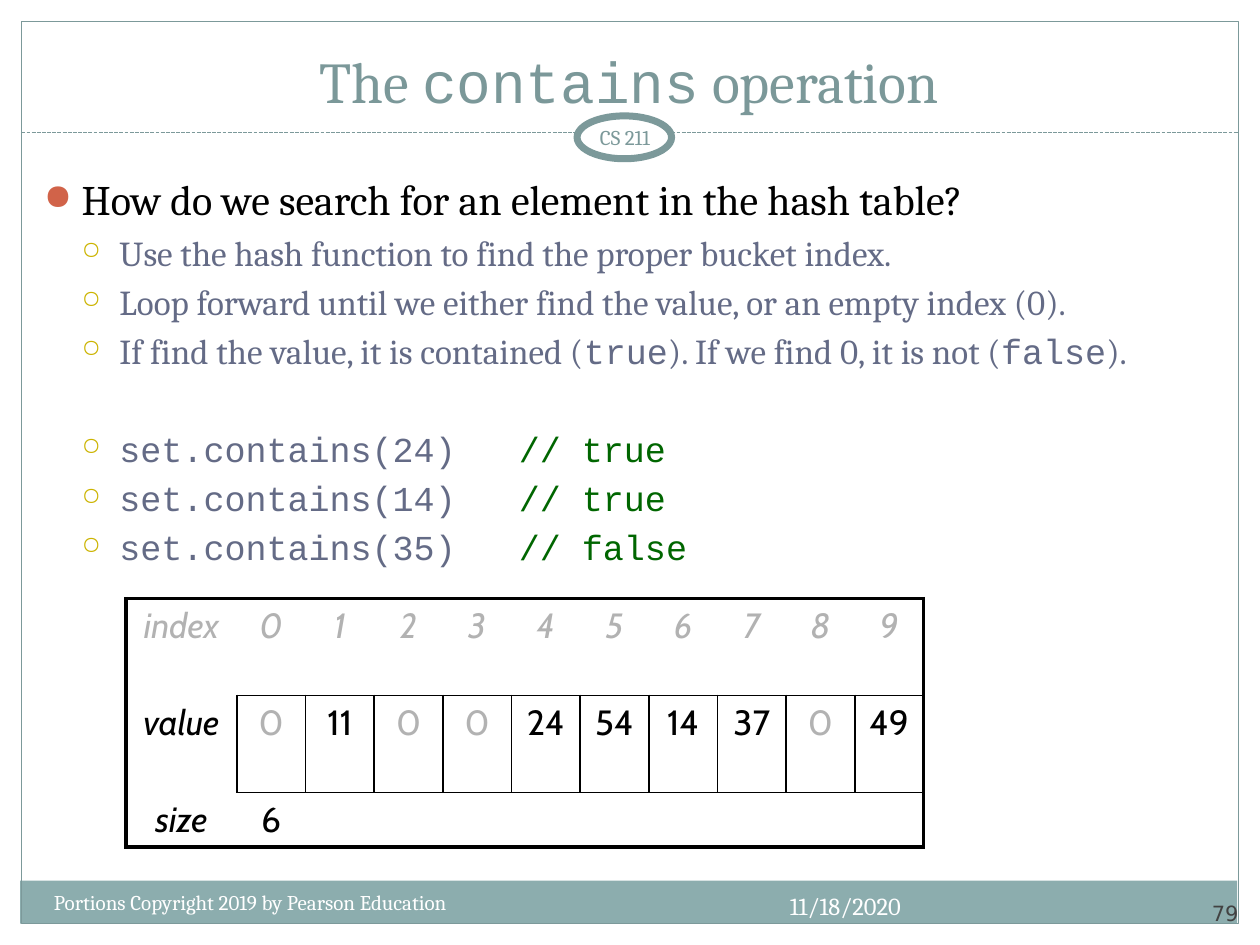
from lxml.etree import SubElement
from pptx import Presentation
from pptx.dml.color import RGBColor
from pptx.enum.dml import MSO_LINE
from pptx.enum.shapes import MSO_CONNECTOR, MSO_SHAPE
from pptx.enum.text import MSO_ANCHOR, PP_ALIGN
from pptx.oxml import parse_xml
from pptx.oxml.ns import nsdecls, qn
from pptx.util import Inches, Pt

COLORS = {name: RGBColor.from_string(value) for name, value in {
    "white": "FFFFFF", "black": "000000", "teal": "7C999A", "title": "7B9899",
    "band": "8CADAE", "slate": "646B86", "comment": "006600", "faded": "B2B2B2",
    "number": "424242"}.items()}
SERIF, MONO, SANS = "Cambria", "Courier New", "Cabin"


def style(font, size, name, color):
    font.size, font.name = Pt(size), name
    font.color.rgb = COLORS[color]


def add_text(box, text, size, name, color, align, anchor, inset=(0.1, 0.05)):
    left, top, width, height = map(Inches, box)
    frame = slide.shapes.add_textbox(left, top, width, height).text_frame
    frame.word_wrap = True
    frame.vertical_anchor = anchor
    frame.margin_left = frame.margin_right = Inches(inset[0])
    frame.margin_top = frame.margin_bottom = Inches(inset[1])
    paragraph = frame.paragraphs[0]
    paragraph.text, paragraph.alignment = text, align
    style(paragraph.font, size, name, color)
    return frame


presentation = Presentation()
presentation.slide_width, presentation.slide_height = Inches(10), Inches(7.5)
slide = presentation.slides.add_slide(presentation.slide_layouts[5])

# Footer band, frame, dashed rule and course badge
rule = slide.shapes.add_connector(
    MSO_CONNECTOR.STRAIGHT, Inches(0.17), Inches(1.05), Inches(9.83), Inches(1.05))
rule.line.color.rgb, rule.line.width = COLORS["teal"], Pt(0.75)
rule.line.dash_style = MSO_LINE.SQUARE_DOT
SubElement(rule._element.spPr, qn("a:effectLst"))
for kind, box, fill, line_width in [
        (MSO_SHAPE.RECTANGLE, (0.16, 6.99, 9.66, 0.34), "band", None),
        (MSO_SHAPE.RECTANGLE, (0.17, 0.17, 9.66, 7.16), None, 0.75),
        (MSO_SHAPE.OVAL, (4.58, 0.92, 0.75, 0.34), "white", 4)]:
    shape = slide.shapes.add_shape(kind, *map(Inches, box))
    shape.shadow.inherit = False
    if fill:
        shape.fill.solid()
        shape.fill.fore_color.rgb = COLORS[fill]
    else:
        shape.fill.background()
    if line_width:
        shape.line.color.rgb, shape.line.width = COLORS["teal"], Pt(line_width)
    else:
        shape.line.fill.background()

# Title
title = slide.shapes.title
title.left, title.top, title.width, title.height = map(Inches, (0.33, 0.25, 9.33, 0.71))
title.text_frame.vertical_anchor = MSO_ANCHOR.BOTTOM
paragraph = title.text_frame.paragraphs[0]
paragraph.alignment = PP_ALIGN.CENTER
for text, name in [("The ", SERIF), ("contains", MONO), (" operation", SERIF)]:
    run = paragraph.add_run()
    run.text = text
    style(run.font, 33, name, "title")

# Bulleted text: each line is a list of (text, font, colour) runs
sentences = [
    [("Use the hash function to find the proper bucket index.", SERIF, "slate")],
    [("Loop forward until we either find the value, or an empty index (0).", SERIF, "slate")],
    [("If find the value, it is contained (", SERIF, "slate"), ("true", MONO, "slate"),
     ("). If we find 0, it is not (", SERIF, "slate"), ("false", MONO, "slate"),
     (").", SERIF, "slate")]]
calls = [[(f"set.contains({value})\t", MONO, "slate"), (f"// {answer}", MONO, "comment")]
         for value, answer in [(24, "true"), (14, "true"), (35, "false")]]
body = add_text((0.25, 1.33, 9.5, 5.58), "How do we search for an element in the hash table?",
                24, SERIF, "black", PP_ALIGN.LEFT, MSO_ANCHOR.TOP)
lines = sentences + calls
for _ in lines:
    body.add_paragraph()
for index, paragraph in enumerate(body.paragraphs):
    level = min(index, 1)
    symbol, color, percent = [("●", "D16349", 85), ("○", "CCB400", 70)][level]
    properties = paragraph._p.get_or_add_pPr()
    properties.set("marL", str(Inches(0.3 * (level + 1))))
    properties.set("indent", str(Inches(-0.3)))
    if level:
        paragraph.level = level
        paragraph.line_spacing = Pt(28)
        paragraph.space_before = Pt(28 if index == len(sentences) + 1 else 0)
    bullet = [f'<a:buClr {nsdecls("a")}><a:srgbClr val="{color}"/></a:buClr>',
              f'<a:buSzPct {nsdecls("a")} val="{percent}000"/>',
              f'<a:buChar {nsdecls("a")} char="{symbol}"/>']
    if index > len(sentences):
        bullet.append(f'<a:tabLst {nsdecls("a")}><a:tab pos="{Inches(3.77)}" algn="l"/></a:tabLst>')
    default = properties.find(qn("a:defRPr"))
    for xml in bullet:
        element = parse_xml(xml)
        if default is None:
            properties.append(element)
        else:
            default.addprevious(element)
    if level:
        for text, name, color in lines[index - 1]:
            run = paragraph.add_run()
            run.text = text
            style(run.font, 20, name, color)

# Hash table
values = [0, 11, 0, 0, 24, 54, 14, 37, 0, 49]
rows = [["index", *range(10)], ["value", *values], ["size", 6] + [""] * 9]
table = slide.shapes.add_table(
    3, 11, Inches(1), Inches(4.75), Inches(6.33), Inches(1.97)).table
table.first_row = table.horz_banding = False
for column_index, column in enumerate(table.columns):
    column.width = Inches(0.545 if column_index else 0.88)
for row_index, height in enumerate((0.77, 0.77, 0.43)):
    table.rows[row_index].height = Inches(height)
    for column_index, content in enumerate(rows[row_index]):
        cell = table.cell(row_index, column_index)
        cell.fill.background()
        paragraph = cell.text_frame.paragraphs[0]
        paragraph.text, paragraph.alignment = str(content), PP_ALIGN.CENTER
        faded = row_index == 0 or (row_index == 1 and content == 0)
        style(paragraph.font, 20, SANS, "faded" if faded else "black")
        paragraph.font.italic = row_index == 0 or column_index == 0

        # Thick outer edge, thin grid around the values
        boxed = column_index > 0
        in_values = boxed and row_index == 1
        borders = {
            "lnL": 2.25 if column_index == 0 else in_values,
            "lnR": 2.25 if column_index == 10 else row_index == 1,
            "lnT": 2.25 if row_index == 0 else boxed,
            "lnB": 2.25 if row_index == 2 else boxed}
        for position, (side, width) in enumerate(borders.items()):
            paint = '<a:solidFill><a:srgbClr val="000000"/></a:solidFill>' if width else "<a:noFill/>"
            cell._tc.get_or_add_tcPr().insert(position, parse_xml(
                f'<a:{side} {nsdecls("a")} w="{Pt(width)}">{paint}</a:{side}>'))

# Footer and badge text
add_text((5.59, 7.02, 1.66, 0.4), "11/18/2020", 14, SERIF, "white",
         PP_ALIGN.RIGHT, MSO_ANCHOR.TOP)
add_text((0.33, 7.01, 4.08, 0.4), "Portions Copyright 2019 by Pearson Education", 12, SERIF,
         "white", PP_ALIGN.LEFT, MSO_ANCHOR.TOP)
add_text((4.5, 0.92, 0.92, 0.33), "CS 211", 12, SERIF, "teal",
         PP_ALIGN.CENTER, MSO_ANCHOR.MIDDLE, (0.05, 0.05))
add_text((9, 6.95, 0.83, 0.4), "79", 12, "DejaVu Sans", "number",
         PP_ALIGN.RIGHT, MSO_ANCHOR.BOTTOM, (0, 0))

presentation.save("out.pptx")
